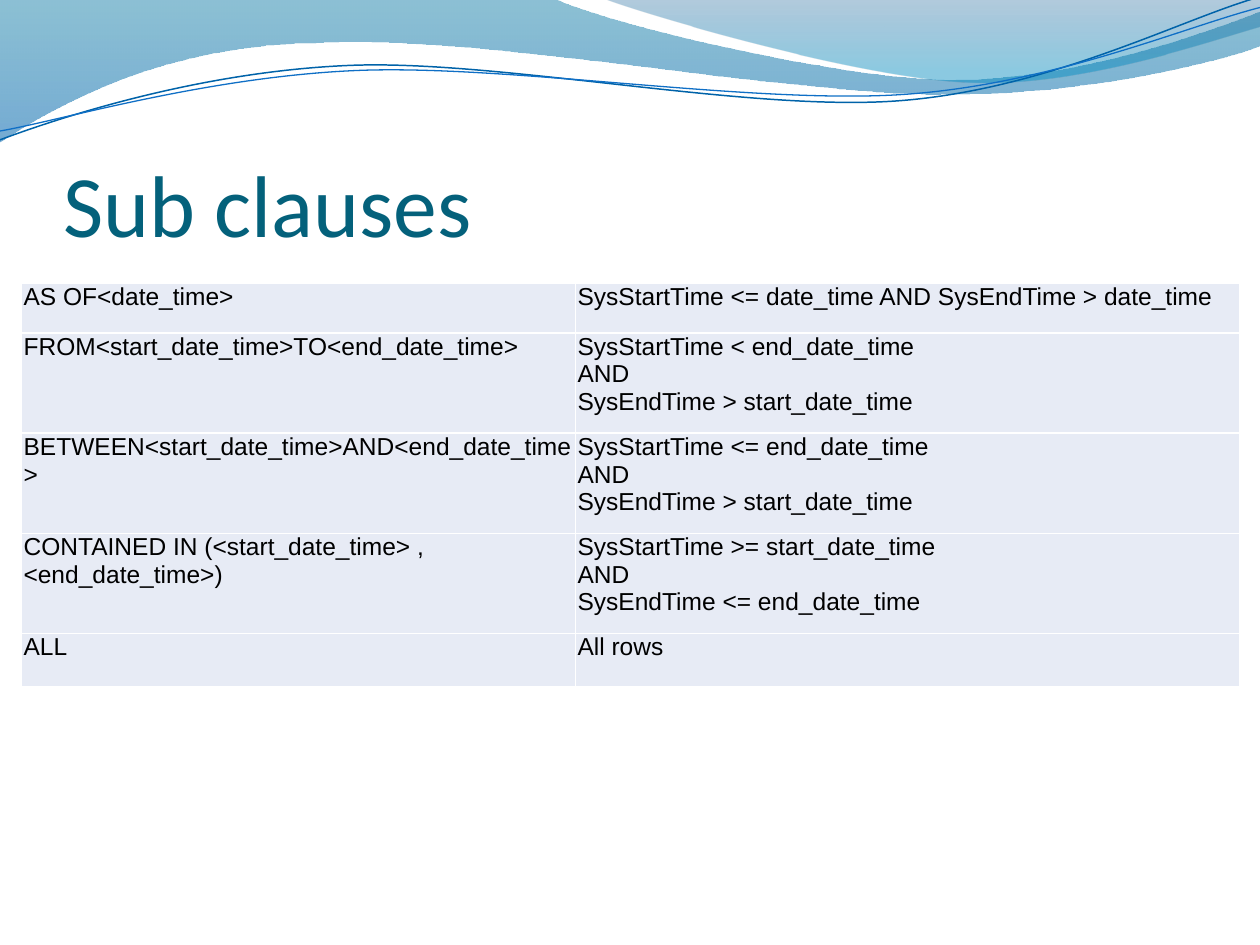
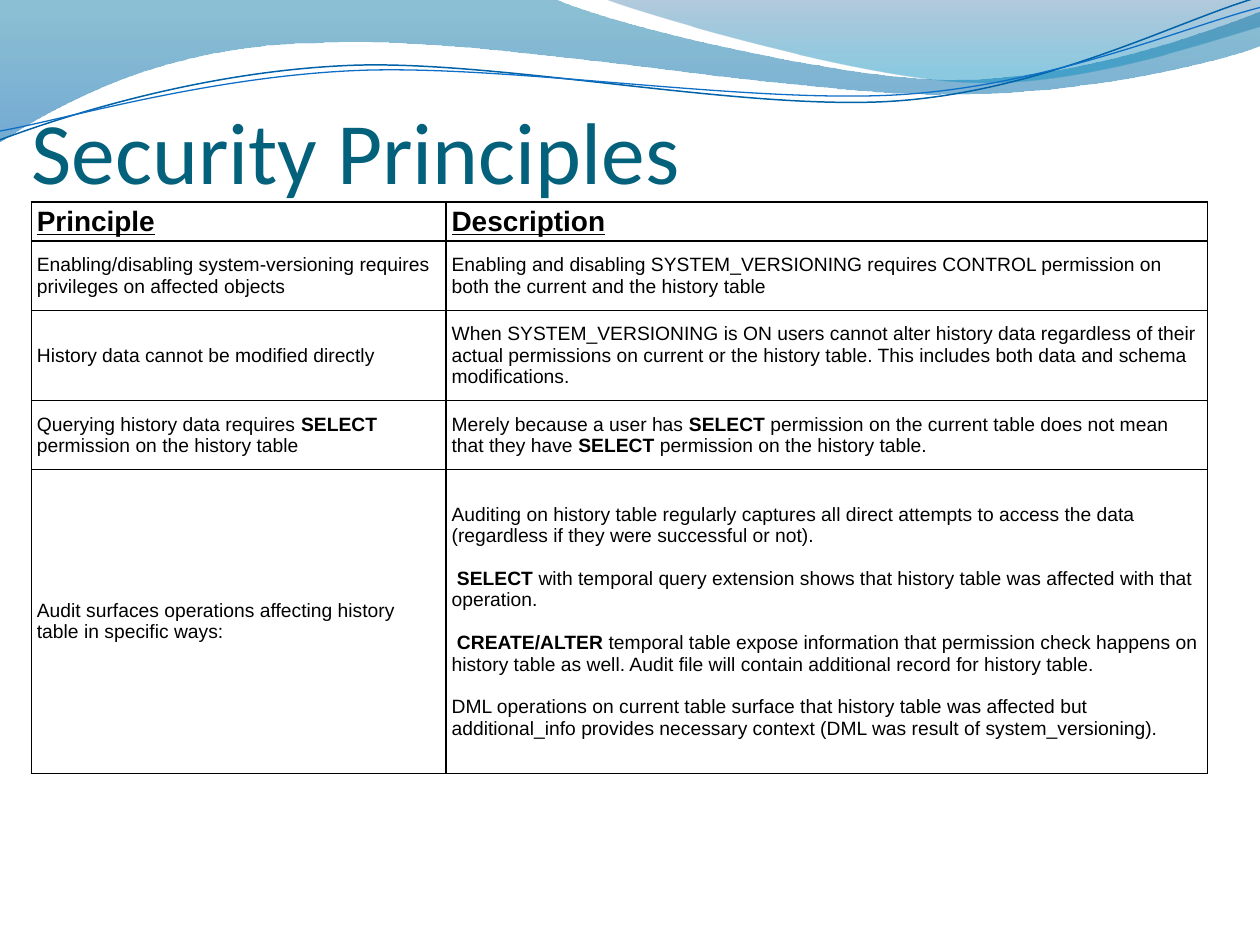
from itertools import chain
from math import cos, radians, sin

from lxml.etree import SubElement
from pptx import Presentation
from pptx.dml.color import RGBColor
from pptx.enum.text import MSO_ANCHOR, MSO_AUTO_SIZE, PP_ALIGN
from pptx.oxml import parse_xml
from pptx.oxml.ns import nsdecls, qn
from pptx.util import Pt

TITLE_TEAL = RGBColor(0x04, 0x61, 0x7B)
BLACK = RGBColor(0x00, 0x00, 0x00)
WHITE = RGBColor(0xFF, 0xFF, 0xFF)
CELL_TINT = RGBColor(0xE7, 0xEB, 0xF5)
WIDE_TOP = RGBColor(0x00, 0x74, 0xA1)
WIDE_BOTTOM = RGBColor(0x00, 0x66, 0xAE)
CORNER_TOP = RGBColor(0x00, 0x53, 0x8E)
CORNER_BOTTOM = RGBColor(0x00, 0x8B, 0xBF)
DARK_STRAND = RGBColor(0x00, 0x63, 0xA9)
LIGHT_STRAND = RGBColor(0x0F, 0x6F, 0xC6)

TITLE_FONT = "Calibri"
TABLE_FONT = "Arial"
STRAND_TILT = 2.7

WIDE_WAVE = [
    [(0, -0.7)], [(316.8, -0.7)],
    [(342.7, 12.2), (478.1, 45.4), (545.8, 45.4)],
    [(614.2, 45.4), (689.8, 18.7), (720, 6.5)],
    [(720.7, 25.9)],
    [(707.8, 31.7), (626.4, 54.7), (537.1, 54)],
    [(447.8, 54), (275, 20.2), (185, 24.5)],
    [(92.9, 25.2), (33.1, 59.8), (-0.7, 81.4)],
    [(0, -0.7)],
]
CORNER_WAVE = [
    [(344.9, -0.7)],
    [(366.5, 7.9), (491, 44.6), (553.7, 46.8)],
    [(616.3, 49.7), (691.9, 23), (720, 15.1)],
    [(720, 0)],
    [(344.9, -0.7)],
]
DARK_CURVE = [
    [(0, 79.9)],
    [(34.6, 67), (113.8, 41), (199.4, 37.4)],
    [(284.4, 33.8), (427, 64.1), (513.4, 57.6)],
    [(599.8, 51.1), (675.4, 10.8), (718.6, -1.4)],
]
LIGHT_CURVE = [
    [(0, 74.9)],
    [(33.8, 69.1), (118.1, 43.9), (203.8, 40.3)],
    [(290.2, 36.7), (429.8, 59.8), (516.2, 54)],
    [(601.9, 48.2), (677.5, 15.1), (720, 4.3)],
]

SUB_CLAUSES = [
    ("AS OF<date_time>", "SysStartTime <= date_time AND SysEndTime > date_time"),
    ("FROM<start_date_time>TO<end_date_time>",
     "SysStartTime < end_date_time\nAND\nSysEndTime > start_date_time"),
    ("BETWEEN<start_date_time>AND<end_date_time>",
     "SysStartTime <= end_date_time\nAND\nSysEndTime > start_date_time"),
    ("CONTAINED IN (<start_date_time> , <end_date_time>)",
     "SysStartTime >= start_date_time\nAND\nSysEndTime <= end_date_time"),
    ("ALL", "All rows"),
]
PRINCIPLES = [
    ("Principle", "Description"),
    ("Enabling/disabling system-versioning requires privileges on affected objects",
     "Enabling and disabling SYSTEM_VERSIONING requires CONTROL permission on both "
     "the current and the history table"),
    ("History data cannot be modified directly",
     "When SYSTEM_VERSIONING is ON users cannot alter history data regardless of their "
     "actual permissions on current or the history table. This includes both data and "
     "schema modifications."),
    ("Querying history data requires **SELECT** permission on the history table",
     "Merely because a user has **SELECT** permission on the current table does not mean "
     "that they have **SELECT** permission on the history table."),
    ("Audit surfaces operations affecting history table in specific ways:",
     "Auditing on history table regularly captures all direct attempts to access the data "
     "(regardless if they were successful or not).\n"
     " **SELECT** with temporal query extension shows that history table was affected "
     "with that operation.\n"
     " **CREATE/ALTER** temporal table expose information that permission check happens "
     "on history table as well. Audit file will contain additional record for history "
     "table.\n"
     "DML operations on current table surface that history table was affected but "
     "additional_info provides necessary context (DML was result of system_versioning)."),
]


def draw_outline(slide, segments, close):
    """Draw a shadowless outline whose three-point segments are cubic curves."""
    start, *rest = [(Pt(x), Pt(y)) for x, y in chain(*segments)]
    builder = slide.shapes.build_freeform(*start)
    builder.add_line_segments(rest, close=close)
    outline = builder.convert_to_shape()
    outline.shadow.inherit = False
    course = next(outline.element.iter(qn("a:path")))
    steps = iter(course[1:])
    for segment in segments[1:]:
        if len(segment) == 1:
            course.append(next(steps))
            continue
        curve = SubElement(course, qn("a:cubicBezTo"))
        for _ in segment:
            step = next(steps)
            curve.append(step[0])
            course.remove(step)
    for closing in steps:
        course.append(closing)
    return outline


def draw_wave(slide, segments, stops):
    """Draw a translucent wave fading downwards through (position, colour, alpha) stops."""
    wave = draw_outline(slide, segments, True)
    wave.line.fill.background()
    wave.fill.gradient()
    wave.fill.gradient_angle = 270
    for gradient_stop, (position, colour, _) in zip(wave.fill.gradient_stops, stops):
        gradient_stop.position = position
        gradient_stop.color.rgb = colour
    for tint, (_, _, alpha) in zip(wave.element.iter(qn("a:srgbClr")), stops):
        SubElement(tint, qn("a:alpha"), val=str(alpha * 1000))
    return wave


def draw_strand(slide, segments, centre, colour, width):
    """Draw one thin curve, levelled about its centre and then tilted as a shape."""
    turn_cos, turn_sin = cos(radians(STRAND_TILT)), sin(radians(STRAND_TILT))
    centre_x, centre_y = centre
    level = [[(centre_x + (x - centre_x) * turn_cos - (y - centre_y) * turn_sin,
               centre_y + (x - centre_x) * turn_sin + (y - centre_y) * turn_cos)
              for x, y in segment] for segment in segments]
    strand = draw_outline(slide, level, False)
    strand.rotation = -STRAND_TILT
    strand.fill.background()
    strand.line.color.rgb = colour
    strand.line.width = Pt(width)
    return strand


def place_header_waves(slide):
    """Draw the header waves and hand them to the layout that all slides share."""
    parts = [
        draw_wave(slide, WIDE_WAVE, [(0, WIDE_TOP, 45), (1, WIDE_BOTTOM, 55)]),
        draw_wave(slide, CORNER_WAVE, [(0, CORNER_TOP, 30), (0.8, CORNER_BOTTOM, 45)]),
        draw_strand(slide, DARK_CURVE, (359.3, 41.4), DARK_STRAND, 0.85),
        draw_strand(slide, LIGHT_CURVE, (360, 42.5), LIGHT_STRAND, 0.75),
    ]
    layout_tree = slide.slide_layout.shapes.element
    for index, part in enumerate(parts):
        next(part.element.iter(qn("p:cNvPr"))).set("id", str(101 + index))
        layout_tree.insert(2 + index, part.element)


def place_title(slide, text, box):
    """Move the title placeholder to the box and style it."""
    title = slide.shapes.title
    title.left, title.top, title.width, title.height = map(Pt, box)
    frame = title.text_frame
    frame.text = text
    frame.auto_size = MSO_AUTO_SIZE.NONE
    frame.vertical_anchor = MSO_ANCHOR.BOTTOM
    frame.margin_left = frame.margin_right = frame.margin_bottom = 0
    frame.margin_top = Pt(3.6)
    frame.paragraphs[0].alignment = PP_ALIGN.LEFT
    font = frame.paragraphs[0].runs[0].font
    font.name, font.size, font.color.rgb = TITLE_FONT, Pt(50), TITLE_TEAL


def write_cell(cell, text, size, heading=False, gap=0):
    """Write a paragraph per line, with text between double stars in bold."""
    frame = cell.text_frame
    for index, line in enumerate(text.split("\n")):
        paragraph = frame.add_paragraph() if index else frame.paragraphs[0]
        paragraph.space_before = Pt(gap if index else 0)
        for part, words in enumerate(line.split("**")):
            run = paragraph.add_run()
            run.text = words
            font = run.font
            font.name, font.size, font.color.rgb = TABLE_FONT, Pt(size), BLACK
            font.bold = heading or part % 2 == 1
            font.underline = heading


def place_table(slide, origin, columns, heights, margins, anchor, fill, border):
    """Place an empty table at the origin, with plain cells and even borders."""
    frame = slide.shapes.add_table(
        len(heights), len(columns), *map(Pt, (*origin, sum(columns), sum(heights))))
    table = frame.table
    table.first_row = table.horz_banding = False
    for column, width in zip(table.columns, columns):
        column.width = Pt(width)
    for row, height in zip(table.rows, heights):
        row.height = Pt(height)
    for cell in table.iter_cells():
        cell.margin_left, cell.margin_top, cell.margin_right, cell.margin_bottom = map(
            Pt, margins)
        cell.vertical_anchor = anchor
        if fill is None:
            cell.fill.background()
        else:
            cell.fill.solid()
            cell.fill.fore_color.rgb = fill
    for properties in frame.element.iter(qn("a:tcPr")):
        for index, side in enumerate("LRTB"):
            properties.insert(index, parse_xml(
                f'<a:ln{side} {nsdecls("a")} w="{Pt(1)}"><a:solidFill>'
                f'<a:srgbClr val="{border}"/></a:solidFill></a:ln{side}>'))
    return table


def build_sub_clauses(slide):
    """Fill the slide on the sub clauses."""
    place_title(slide, "Sub clauses", (36, 55.5, 648, 90))
    table = place_table(slide, (12.2, 162), (316.6, 379.5), (28.4, 57.2, 57.2, 57.2, 30.5),
                        (1.3, 0, 0, 0), MSO_ANCHOR.TOP, CELL_TINT, WHITE)
    for row, texts in enumerate(SUB_CLAUSES):
        for column, text in enumerate(texts):
            write_cell(table.cell(row, column), text, 14)


def build_principles(slide):
    """Fill the slide on the security principles."""
    place_title(slide, "Security Principles", (18, 48, 648, 67.7))
    table = place_table(slide, (18, 115.5), (237, 435), (22.2, 39.8, 51.5, 39.4, 173.6),
                        (3.1, 1.5, 3, 1.5), MSO_ANCHOR.MIDDLE, None, BLACK)
    for row, texts in enumerate(PRINCIPLES):
        for column, text in enumerate(texts):
            write_cell(table.cell(row, column), text, 11 if row else 16, row == 0, 12.2)


def main():
    """Build both slides and save them."""
    deck = Presentation()
    deck.slide_width, deck.slide_height = Pt(720), Pt(540)
    title_only = deck.slide_layouts[5]
    sub_clauses, principles = (deck.slides.add_slide(title_only) for _ in range(2))
    place_header_waves(sub_clauses)
    build_sub_clauses(sub_clauses)
    build_principles(principles)
    deck.save("out.pptx")


if __name__ == "__main__":
    main()
